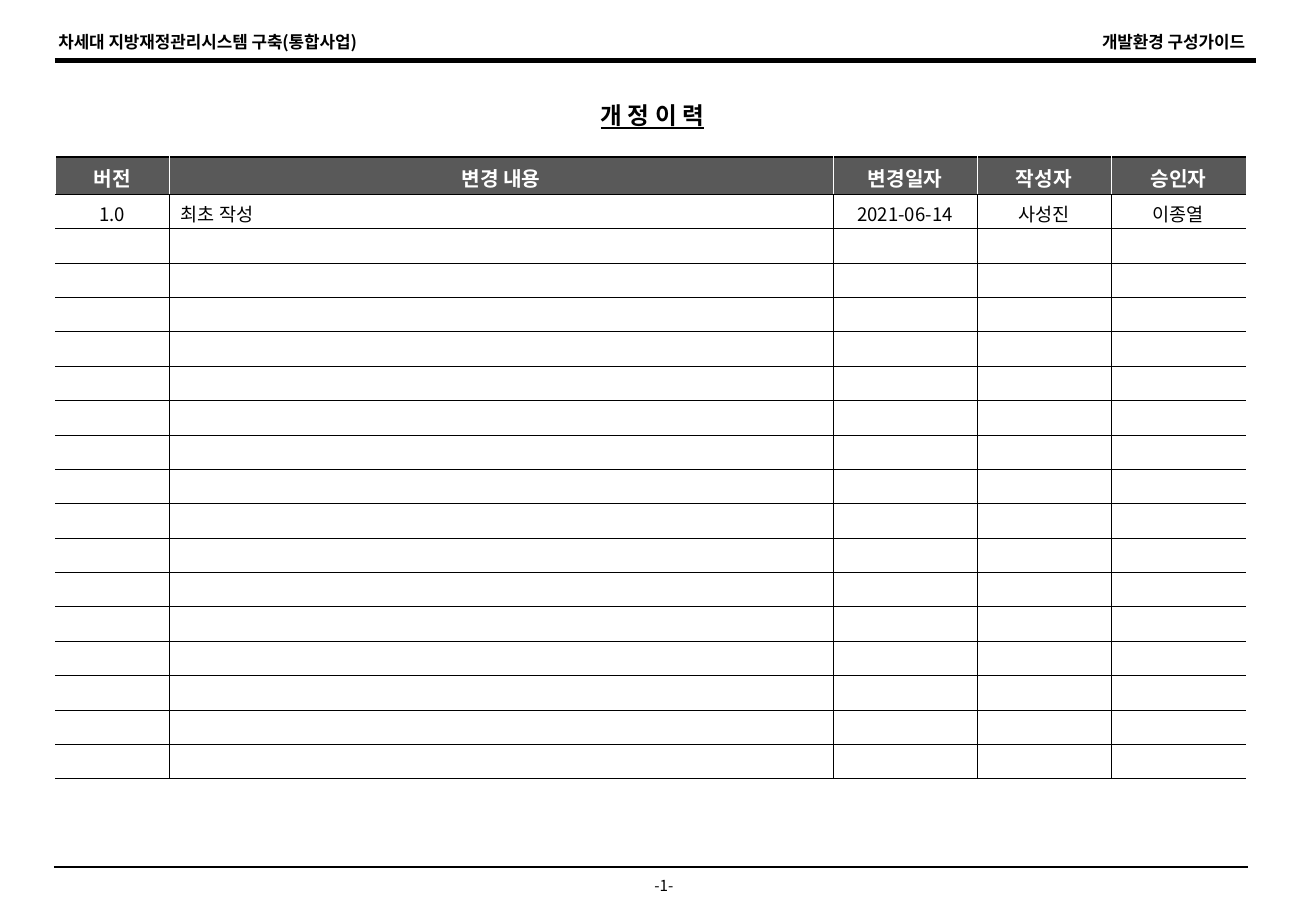
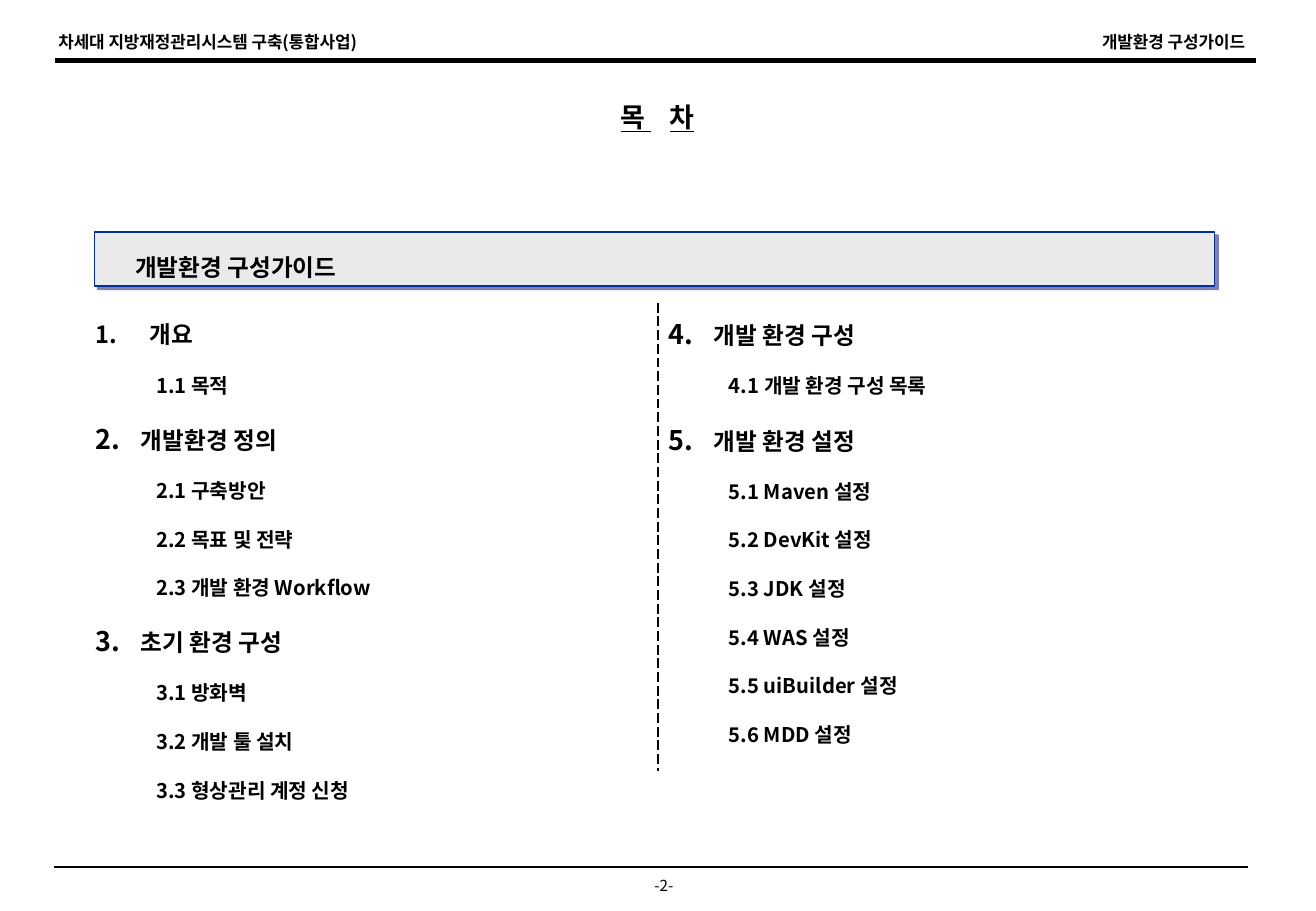
from dataclasses import dataclass

from lxml.etree import SubElement
from pptx import Presentation
from pptx.dml.color import RGBColor
from pptx.enum.dml import MSO_LINE
from pptx.enum.shapes import MSO_CONNECTOR, MSO_SHAPE
from pptx.enum.text import MSO_ANCHOR as Anchor, PP_ALIGN as Align
from pptx.oxml.ns import qn
from pptx.util import Pt

FONT = "Noto Sans CJK KR"
COLORS = {"ink": "000000", "paper": "FFFFFF", "head": "595959",
          "banner": "EAEAEA", "banner_edge": "003399", "shade": "000066"}
PROJECT = "차세대 지방재정관리시스템 구축(통합사업)"
GUIDE = "개발환경 구성가이드"


@dataclass(frozen=True)
class Box:
    left: float
    top: float
    width: float
    height: float

    def lengths(self) -> tuple:
        return Pt(self.left), Pt(self.top), Pt(self.width), Pt(self.height)


@dataclass(frozen=True)
class Chapter:
    number: int
    title: str
    sections: tuple[str, ...]
    indent: float = 27
    number_scale: int = 114


HISTORY_COLUMNS = (("버전", 67), ("변경 내용", 394), ("변경일자", 85),
                   ("작성자", 79.5), ("승인자", 80))
FIRST_REVISION = ("1.0", "최초 작성", "2021-06-14", "사성진", "이종열")
REVISION_ROWS = 17
HEAD_HEIGHT, REVISION_HEIGHT = 22, 20.4

LEFT_CHAPTERS = (
    Chapter(1, "개요", ("목적",), indent=32, number_scale=100),
    Chapter(2, "개발환경 정의", ("구축방안", "목표 및 전략", "개발 환경 Workflow")),
    Chapter(3, "초기 환경 구성", ("방화벽", "개발 툴 설치", "형상관리 계정 신청")),
)
RIGHT_CHAPTERS = (
    Chapter(4, "개발 환경 구성", ("개발 환경 구성 목록",)),
    Chapter(5, "개발 환경 설정", ("Maven 설정", "DevKit 설정", "JDK 설정",
                            "WAS 설정", "uiBuilder 설정", "MDD 설정")),
)


def rgb(name: str) -> RGBColor:
    return RGBColor.from_string(COLORS[name])


def write(paragraph, text: str, *, size: float, bold: bool = False, color: str = "ink",
          underline: bool = False, align=None, spacing=None, space_extra: float = 0) -> None:
    """Fill a paragraph; space_extra widens each space by that many points."""
    paragraph.alignment = align
    paragraph.line_spacing = spacing
    if not text:
        SubElement(paragraph._p, qn("a:endParaRPr"), sz=str(int(size * 100)))
        return
    for part in text.partition(" ") if space_extra else (text,):
        run = paragraph.add_run()
        run.text = part
        font = run.font
        font.name, font.size, font.bold, font.underline = FONT, Pt(size), bold, underline
        font.color.rgb = rgb(color)
        properties = run._r.get_or_add_rPr()
        SubElement(properties, qn("a:ea"), typeface=FONT)
        if space_extra and part == " ":
            properties.set("spc", str(int(space_extra * 100)))


def add_frame(slide, box: Box, anchor=Anchor.TOP):
    frame = slide.shapes.add_textbox(*box.lengths()).text_frame
    frame.word_wrap = True
    frame.vertical_anchor = anchor
    return frame


def add_label(slide, box: Box, text: str, *, anchor=Anchor.TOP, **text_format) -> None:
    write(add_frame(slide, box, anchor).paragraphs[0], text, **text_format)


def add_line(slide, start: tuple, end: tuple, width: float, dash=None) -> None:
    rule = slide.shapes.add_connector(MSO_CONNECTOR.STRAIGHT, *map(Pt, start + end))
    rule.line.color.rgb = rgb("ink")
    rule.line.width = Pt(width)
    if dash is not None:
        rule.line.dash_style = dash
    SubElement(rule._element.spPr, qn("a:effectLst"))


def add_page(deck, number: int):
    """Blank slide with the shared header and footer."""
    slide = deck.slides.add_slide(deck.slide_layouts[6])
    add_label(slide, Box(377, 516, 33, 18), f"-{number}-", size=9, align=Align.CENTER)
    add_line(slide, (32, 514), (739.5, 514), 0.75)
    add_line(slide, (32.5, 36), (744.5, 36), 2.75)
    add_label(slide, Box(27.5, 15, 211, 19.5), PROJECT, size=10, bold=True)
    add_label(slide, Box(636.5, 15, 108.5, 19.5), GUIDE, size=10, bold=True, align=Align.RIGHT)
    return slide


def set_borders(cell, **sides: tuple[str, float]) -> None:
    properties = cell._tc.get_or_add_tcPr()
    for index, (side, (color, width)) in enumerate(sides.items()):
        edge = SubElement(properties, qn(f"a:ln{side}"), w=str(int(Pt(width))))
        fill = SubElement(edge, qn("a:solidFill"))
        SubElement(fill, qn("a:srgbClr"), val=COLORS[color])
        properties.remove(edge)
        properties.insert(index, edge)  # borders precede the fill


def add_history(slide) -> None:
    last_row, last_column = REVISION_ROWS, len(HISTORY_COLUMNS) - 1
    height = HEAD_HEIGHT + REVISION_ROWS * REVISION_HEIGHT
    width = sum(size for _, size in HISTORY_COLUMNS)
    history = slide.shapes.add_table(last_row + 1, last_column + 1,
                                     *Box(33, 93, width, height).lengths()).table
    history.first_row = history.horz_banding = False
    for column, (_, size) in zip(history.columns, HISTORY_COLUMNS):
        column.width = Pt(size)
    contents = {0: [title for title, _ in HISTORY_COLUMNS], 1: FIRST_REVISION}

    for r, row in enumerate(history.rows):
        is_head = r == 0
        row.height = Pt(HEAD_HEIGHT if is_head else REVISION_HEIGHT)
        for c, cell in enumerate(row.cells):
            cell.margin_top, cell.margin_bottom = Pt(3.6), Pt(0.8)
            cell.vertical_anchor = Anchor.MIDDLE
            text = contents[r][c] if r in contents else ""
            align = Align.CENTER if is_head or c != 1 else Align.LEFT
            write(cell.text_frame.paragraphs[0], text, size=12 if is_head else 11,
                  bold=is_head, color="paper" if is_head else "ink", align=align)
            if is_head:
                cell.fill.solid()
                cell.fill.fore_color.rgb = rgb("head")
            else:
                cell.fill.background()
            set_borders(cell,
                        L=("paper" if is_head or c == 0 else "ink", 0.25),
                        R=("paper" if is_head or c == last_column else "ink", 0.25),
                        T=("ink", 1 if is_head else 0.25),
                        B=("ink", 1 if r == last_row else 0.25))


def add_banner(slide) -> None:
    banner = slide.shapes.add_shape(MSO_SHAPE.RECTANGLE, *Box(56, 137.5, 664, 32).lengths())
    banner.fill.solid()
    banner.fill.fore_color.rgb = rgb("banner")
    banner.line.color.rgb = rgb("banner_edge")
    banner.line.width = Pt(1)
    effects = SubElement(banner._element.spPr, qn("a:effectLst"))
    shadow = SubElement(effects, qn("a:outerShdw"), dist=str(int(Pt(2.8))),
                        dir="2700000", algn="ctr", rotWithShape="0")
    shade = SubElement(shadow, qn("a:srgbClr"), val=COLORS["shade"])
    SubElement(shade, qn("a:alpha"), val="50000")
    add_label(slide, Box(73, 129.5, 430.5, 36), GUIDE, size=14, bold=True, spacing=2.0)


def number_chapter(paragraph, chapter: Chapter) -> None:
    properties = paragraph._p.get_or_add_pPr()
    properties.set("marL", str(int(Pt(chapter.indent))))
    properties.set("indent", str(-int(Pt(chapter.indent))))
    color = SubElement(properties, qn("a:buClr"))
    SubElement(color, qn("a:srgbClr"), val=COLORS["ink"])
    SubElement(properties, qn("a:buSzPct"), val=str(chapter.number_scale * 1000))
    SubElement(properties, qn("a:buFont"), typeface=FONT)
    SubElement(properties, qn("a:buAutoNum"), type="arabicPeriod", startAt=str(chapter.number))


def add_contents(slide, box: Box, chapters: tuple[Chapter, ...]) -> None:
    frame = add_frame(slide, box)
    for index, chapter in enumerate(chapters):
        heading = frame.add_paragraph() if index else frame.paragraphs[0]
        write(heading, chapter.title, size=14, bold=True, spacing=2.0)
        number_chapter(heading, chapter)
        for place, section in enumerate(chapter.sections, 1):
            entry = frame.add_paragraph()
            entry.level = 1
            write(entry, f"{chapter.number}.{place} {section}", size=12, bold=True, spacing=2.0)
            properties = entry._p.get_or_add_pPr()
            properties.set("marL", str(int(Pt(36))))
            properties.set("indent", "0")
            SubElement(properties, qn("a:buNone"))


def main() -> None:
    deck = Presentation()
    deck.slide_width, deck.slide_height = Pt(780), Pt(540)
    title_format = {"bold": True, "underline": True, "align": Align.CENTER}

    # Revision history
    revisions = add_page(deck, 1)
    add_label(revisions, Box(37.5, 56, 698.5, 24), "개 정 이 력", size=14,
              anchor=Anchor.MIDDLE, **title_format)
    add_history(revisions)

    # Table of contents
    contents = add_page(deck, 2)
    add_banner(contents)
    add_label(contents, Box(336, 56, 107.5, 27), "목 차", size=16, space_extra=10.75,
              **title_format)
    add_contents(contents, Box(49.5, 169.5, 368.5, 308), LEFT_CHAPTERS)
    add_line(contents, (390, 179.5), (390, 457), 0.75, MSO_LINE.LONG_DASH)
    add_contents(contents, Box(389, 170, 345.5, 274.5), RIGHT_CHAPTERS)

    deck.save("out.pptx")


if __name__ == "__main__":
    main()
